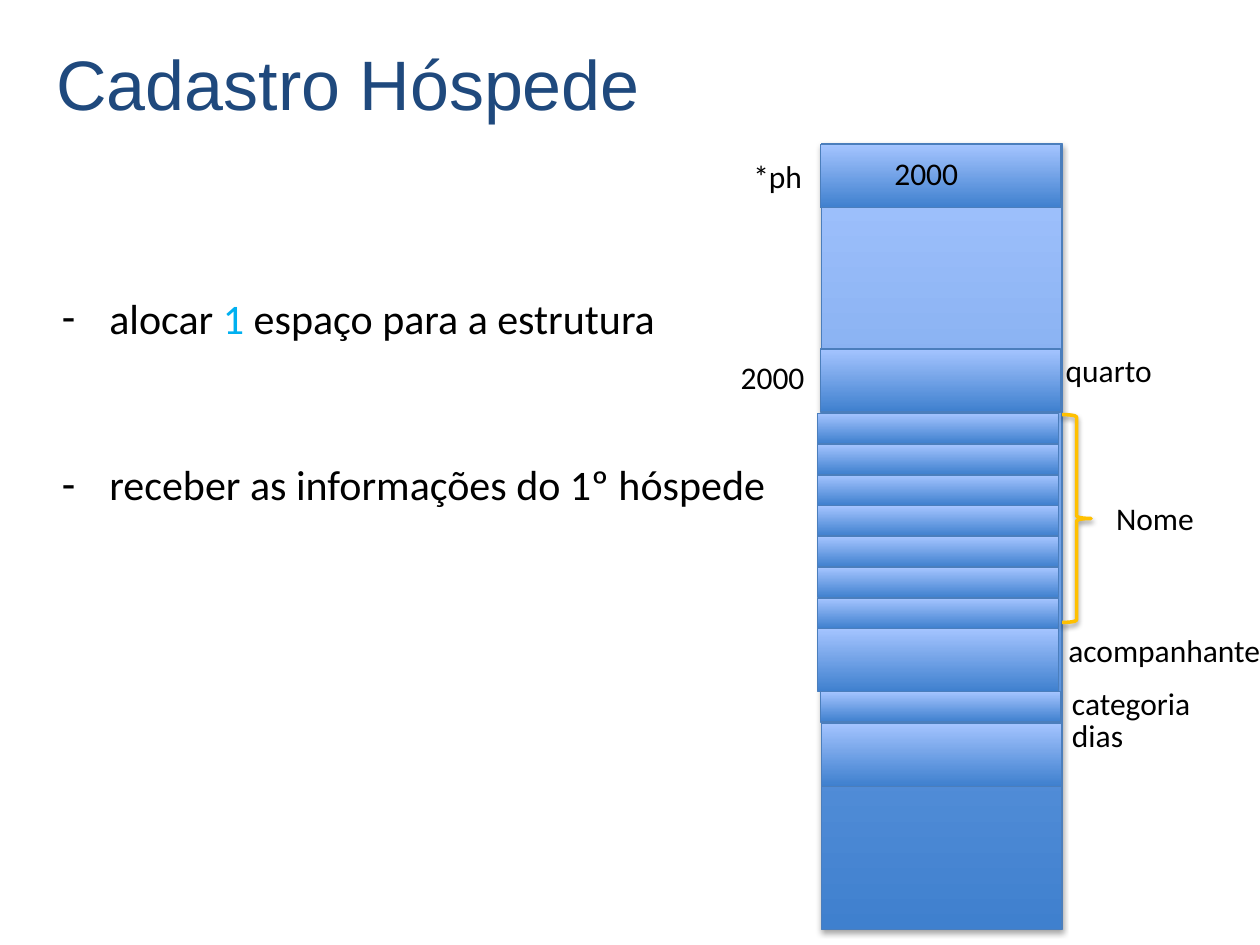
from dataclasses import dataclass
from typing import NamedTuple

from lxml import etree
from pptx import Presentation
from pptx import util as u
from pptx.dml.color import RGBColor
from pptx.enum import shapes, text
from pptx.oxml import ns


@dataclass(frozen=True)
class Theme:
    title_font: str = "Arial"
    body_font: str = "Calibri"
    bullet_font: str = "Arial"
    title_size: int = 40
    body_size: int = 24
    label_size: int = 18
    title: str = "1F497D"
    ink: str = "000000"
    accent: str = "00B0F0"
    cell_bottom: str = "3F80CE"
    cell_top: str = "A4C4FF"
    cell_line: str = "4B7EBC"
    brace: str = "FFC000"


class Cell(NamedTuple):
    left: float
    top: float
    height: float


class Label(NamedTuple):
    words: str
    left: float
    top: float
    width: float


THEME = Theme()
CELL_WIDTH = 1.91
TALL, SHORT = 0.5, 0.24
NAME_TOP, NAME_PITCH, NAME_COUNT = 3.28, 0.245, 7

MEMORY = Cell(6.52, 1.14, 6.24)
CELLS = [
    Cell(6.51, 1.15, TALL),  # pointer
    Cell(6.51, 2.77, TALL),  # quarto
    *(Cell(6.49, NAME_TOP + i * NAME_PITCH, SHORT) for i in range(NAME_COUNT)),
    Cell(6.49, 4.99, TALL),  # acompanhante
    Cell(6.51, 5.49, SHORT),  # categoria
    Cell(6.52, 5.74, TALL),  # dias
]
LABELS = [
    Label("*ph", 5.88, 1.2, 1.02),
    Label("2000", 7, 1.17, 1.27),
    Label("2000", 5.78, 2.79, 1.25),
    Label("quarto", 8.36, 2.74, 1.46),
    Label("Nome", 8.76, 3.91, 1.46),
    Label("acompanhante", 8.38, 4.96, 1.81),
    Label("categoria", 8.41, 5.38, 1.46),
    Label("dias", 8.41, 5.63, 1.46),
]
# Each step is a list of (words, colour) runs
STEPS = [
    [("alocar ", THEME.ink), ("1", THEME.accent), (" espaço para a estrutura", THEME.ink)],
    [("receber as informações do 1º hóspede", THEME.ink)],
]


def add_text(slide, paragraphs, left: float, top: float, width: float, height: float, *,
             size: int, font: str = THEME.body_font, anchor=text.MSO_ANCHOR.TOP,
             bullet: str = "", line_spacing: float = 1.0, gap: float = 0) -> None:
    """Add a text box; gap is the space in points before every later paragraph."""
    box = slide.shapes.add_textbox(u.Inches(left), u.Inches(top), u.Inches(width), u.Inches(height))
    frame = box.text_frame
    frame.word_wrap = True
    frame.vertical_anchor = anchor
    for index, runs in enumerate(paragraphs):
        paragraph = frame.paragraphs[0] if index == 0 else frame.add_paragraph()
        paragraph.line_spacing = line_spacing
        if index:
            paragraph.space_before = u.Pt(gap)
        if bullet:
            props = paragraph._p.get_or_add_pPr()
            indent = u.Inches(0.38)
            props.set("marL", str(indent))
            props.set("indent", str(-indent))
            etree.SubElement(props, ns.qn("a:buFont"), typeface=THEME.bullet_font)
            etree.SubElement(props, ns.qn("a:buChar"), char=bullet)
        for words, color in runs:
            run = paragraph.add_run()
            run.text = words
            run.font.name = font
            run.font.size = u.Pt(size)
            run.font.color.rgb = RGBColor.from_string(color)
        # The paragraph mark sets the size of the bullet
        etree.SubElement(paragraph._p, ns.qn("a:endParaRPr"), sz=str(size * 100))


def add_shadow(shape, opacity: int, distance: float) -> None:
    """Give the shape a soft black shadow straight below it."""
    shape.shadow.inherit = False
    effects = shape._element.spPr.find(ns.qn("a:effectLst"))
    shadow = etree.SubElement(effects, ns.qn("a:outerShdw"), blurRad=str(u.Pt(3.1)),
                              dist=str(u.Pt(distance)), dir="5400000", rotWithShape="0")
    color = etree.SubElement(shadow, ns.qn("a:srgbClr"), val="000000")
    etree.SubElement(color, ns.qn("a:alpha"), val=str(opacity * 1000))


def add_cell(slide, cell: Cell):
    """Add one memory block, dark at the bottom and light at the top."""
    block = slide.shapes.add_shape(shapes.MSO_SHAPE.RECTANGLE, u.Inches(cell.left), u.Inches(cell.top),
                                   u.Inches(CELL_WIDTH), u.Inches(cell.height))
    block.shadow.inherit = False
    block.fill.gradient()
    block.fill.gradient_angle = 90
    for stop, color in zip(block.fill.gradient_stops, (THEME.cell_bottom, THEME.cell_top)):
        stop.color.rgb = RGBColor.from_string(color)
    block.line.color.rgb = RGBColor.from_string(THEME.cell_line)
    block.line.width = u.Pt(0.75)
    return block


def add_brace(slide, left: float, top: float, width: float, height: float) -> None:
    brace = slide.shapes.add_shape(shapes.MSO_SHAPE.RIGHT_BRACE, u.Inches(left), u.Inches(top),
                                   u.Inches(width), u.Inches(height))
    brace.fill.background()
    brace.line.color.rgb = RGBColor.from_string(THEME.brace)
    brace.line.width = u.Pt(2)
    add_shadow(brace, opacity=38, distance=1.6)


def main() -> None:
    prs = Presentation()
    prs.slide_width, prs.slide_height = u.Inches(10), u.Inches(7.5)
    slide = prs.slides.add_slide(prs.slide_layouts[6])

    # Title and steps
    add_text(slide, [[("Cadastro Hóspede", THEME.title)]], 0.35, 0.03, 9.31, 1.25,
             size=THEME.title_size, font=THEME.title_font, anchor=text.MSO_ANCHOR.MIDDLE)
    add_text(slide, STEPS, 0.39, 2.07, 6.1, 2,
             size=THEME.body_size, bullet="-", line_spacing=1.5, gap=52)

    # Memory column and its cells
    add_shadow(add_cell(slide, MEMORY), opacity=35, distance=1.8)
    for cell in CELLS:
        add_cell(slide, cell)

    # Brace around the name cells, then the labels
    add_brace(slide, 8.43, 3.29, 0.23, 1.65)
    for label in LABELS:
        add_text(slide, [[(label.words, THEME.ink)]], label.left, label.top, label.width, 0.4,
                 size=THEME.label_size)

    prs.save("out.pptx")


if __name__ == "__main__":
    main()
